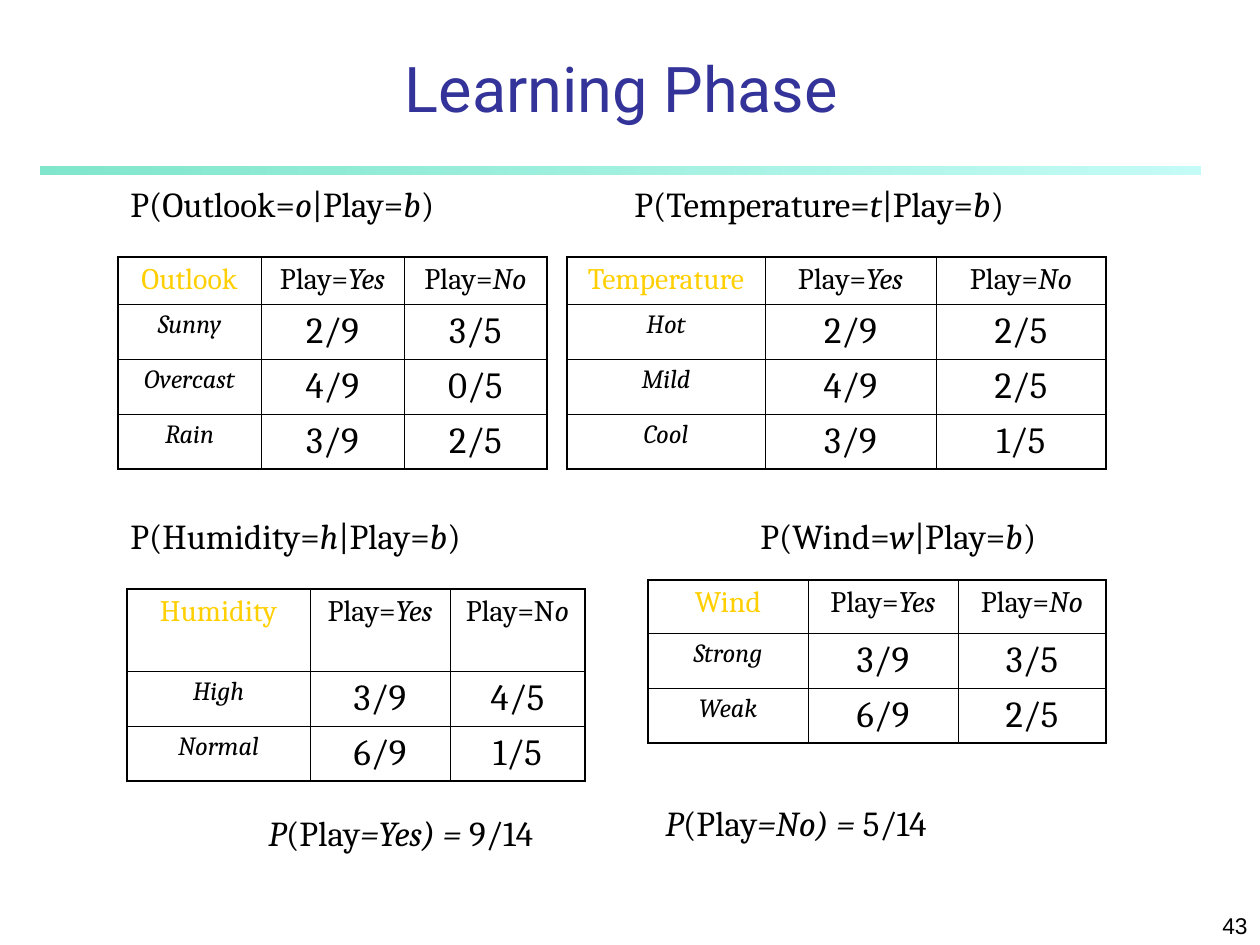
from lxml import etree
from pptx import Presentation
from pptx.dml.color import RGBColor
from pptx.enum.shapes import MSO_SHAPE
from pptx.enum.text import MSO_ANCHOR, MSO_AUTO_SIZE, PP_ALIGN
from pptx.oxml.ns import qn
from pptx.util import Emu, Pt

BOTTOM = MSO_ANCHOR.BOTTOM
TOP = MSO_ANCHOR.TOP
CENTER = PP_ALIGN.CENTER
RIGHT = PP_ALIGN.RIGHT
GROW = MSO_AUTO_SIZE.SHAPE_TO_FIT_TEXT
RECTANGLE = MSO_SHAPE.RECTANGLE

PX_PER_INCH = 126
SERIF = "Cambria"
BLACK = "000000"
YELLOW = "FFCF01"
NAVY = "333399"
ROW_HEIGHT = 55
OUTER_LINE, INNER_LINE = 1.08, 0.45


def px(length):
    return Emu(round(length * 914400 / PX_PER_INCH))


def color(hex_string):
    return RGBColor.from_string(hex_string)


def add_runs(paragraph, marked, size, ink=BLACK, font=SERIF):
    """Add text in which *asterisks* enclose the italic runs."""
    for index, part in enumerate(marked.split("*")):
        if part:
            run = paragraph.add_run()
            run.text = part
            run.font.size = Pt(size)
            run.font.name = font
            run.font.italic = index % 2 == 1
            run.font.color.rgb = color(ink)


def add_tab_stops(paragraph):
    """Set a left tab stop at every inch."""
    stops = etree.SubElement(paragraph._p.get_or_add_pPr(), qn("a:tabLst"))
    for inch in range(1, 8):
        etree.SubElement(stops, qn("a:tab"), pos=str(px(inch * PX_PER_INCH)), algn="l")


def add_label(slide, box, marked, size=20, font=SERIF, wrap=False):
    frame = slide.shapes.add_textbox(*map(px, box)).text_frame
    frame.word_wrap = wrap
    frame.auto_size = GROW
    add_runs(frame.paragraphs[0], marked, size, font=font)
    return frame


def add_title(slide, box, words):
    title = slide.shapes.title
    title.left, title.top, title.width, title.height = map(px, box)
    frame = title.text_frame
    frame.vertical_anchor = BOTTOM
    frame.margin_left, frame.margin_right = 0, px(72)
    frame.margin_top = frame.margin_bottom = px(6)
    frame.paragraphs[0].alignment = CENTER
    add_runs(frame.paragraphs[0], words, 36, NAVY, "Roboto")


def add_title_rule(slide, box):
    rule = slide.shapes.add_shape(RECTANGLE, *map(px, box))
    rule.shadow.inherit = False
    rule.line.fill.background()
    rule.fill.gradient()
    rule.fill.gradient_angle = 0
    ends = [(0, "00CE98", 50), (1, "8FF9EF", 52)]
    for stop, (position, shade, opacity) in zip(rule.fill.gradient_stops, ends):
        stop.position = position
        stop.color.rgb = color(shade)
        shade_element = stop._gs.find(qn("a:srgbClr"))
        etree.SubElement(shade_element, qn("a:alpha"), val=str(opacity * 1000))


def add_page_number(slide, box, number):
    frame = add_label(slide, box, number, 13, "Arial", wrap=True)
    frame.auto_size = MSO_AUTO_SIZE.NONE
    frame.vertical_anchor = BOTTOM
    frame.paragraphs[0].alignment = RIGHT


def add_heading(slide, box, marked):
    """Add the line of formulas above a pair of tables."""
    frame = add_label(slide, box, marked, wrap=True)
    add_tab_stops(frame.paragraphs[0])


def border_cell(cell, outer_sides):
    properties = cell._tc.get_or_add_tcPr()
    for side in "LRTB":
        weight = OUTER_LINE if side in outer_sides else INNER_LINE
        line = etree.SubElement(properties, qn("a:ln" + side), w=str(Pt(weight)))
        fill = etree.SubElement(line, qn("a:solidFill"))
        etree.SubElement(fill, qn("a:srgbClr"), val=BLACK)


def fill_cell(cell, marked, size, space_before, ink=BLACK):
    cell.margin_left = cell.margin_right = px(11)
    cell.margin_top = cell.margin_bottom = px(6)
    cell.vertical_anchor = TOP
    cell.fill.background()
    paragraph = cell.text_frame.paragraphs[0]
    paragraph.alignment = CENTER
    paragraph.space_before = Pt(space_before)
    add_runs(paragraph, marked, size, ink)


def add_probability_table(slide, left, top, widths, header_height, header, likelihoods):
    rows = [header] + [(f"*{value}*", yes, no) for value, yes, no in likelihoods]
    heights = [header_height] + [ROW_HEIGHT] * len(likelihoods)
    table = slide.shapes.add_table(
        len(rows), len(widths), px(left), px(top), px(sum(widths)), px(sum(heights))
    ).table
    table.first_row = table.horz_banding = False
    for column, width in zip(table.columns, widths):
        column.width = px(width)
    for r, (row, height) in enumerate(zip(rows, heights)):
        table.rows[r].height = px(height)
        for c, marked in enumerate(row):
            outer = {"T": r == 0, "B": r == len(rows) - 1,
                     "L": c == 0, "R": c == len(row) - 1}
            cell = table.cell(r, c)
            border_cell(cell, [side for side, is_outer in outer.items() if is_outer])
            if r == 0:
                fill_cell(cell, marked, 17, 4.2, YELLOW if c == 0 else BLACK)
            elif c == 0:
                fill_cell(cell, marked, 15, 3.7)
            else:
                fill_cell(cell, marked, 21, 5.2)


def main():
    deck = Presentation()
    deck.slide_width, deck.slide_height = px(1260), px(945)
    slide = deck.slides.add_slide(deck.slide_layouts[5])

    add_title_rule(slide, (41, 167, 1160, 8))
    add_page_number(slide, (998, 892, 262, 53), "43")
    add_title(slide, (55, 33, 1205, 98), "Learning Phase")

    yes, no = "Play=*Yes*", "Play=*No*"
    add_probability_table(
        slide, 118, 257, (143, 143, 143), 47, ("Outlook", yes, no),
        [("Sunny", "2/9", "3/5"), ("Overcast", "4/9", "0/5"), ("Rain", "3/9", "2/5")])
    add_probability_table(
        slide, 567, 257, (198, 171, 170), 47, ("Temperature", yes, no),
        [("Hot", "2/9", "2/5"), ("Mild", "4/9", "2/5"), ("Cool", "3/9", "1/5")])
    add_probability_table(
        slide, 127, 589, (183, 140, 135), 82, ("Humidity", yes, "Play=N*o*"),
        [("High", "3/9", "4/5"), ("Normal", "6/9", "1/5")])
    add_probability_table(
        slide, 648, 580, (160, 150, 148), 53, ("Wind", yes, no),
        [("Strong", "3/9", "3/5"), ("Weak", "6/9", "2/5")])

    add_label(slide, (256, 805, 322, 55), "*P*(Play*=Yes) = *9/14")
    add_label(slide, (653, 795, 315, 55), "*P*(Play*=No) = *5/14")
    add_heading(slide, (118, 176, 988, 55),
                "P(Outlook=*o*|Play=*b*)\t\tP(Temperature=*t*|Play=*b*)")
    add_heading(slide, (118, 508, 988, 55),
                "P(Humidity=*h*|Play=*b*)\t\t\tP(Wind=*w*|Play=*b*)")

    deck.save("out.pptx")


if __name__ == "__main__":
    main()
